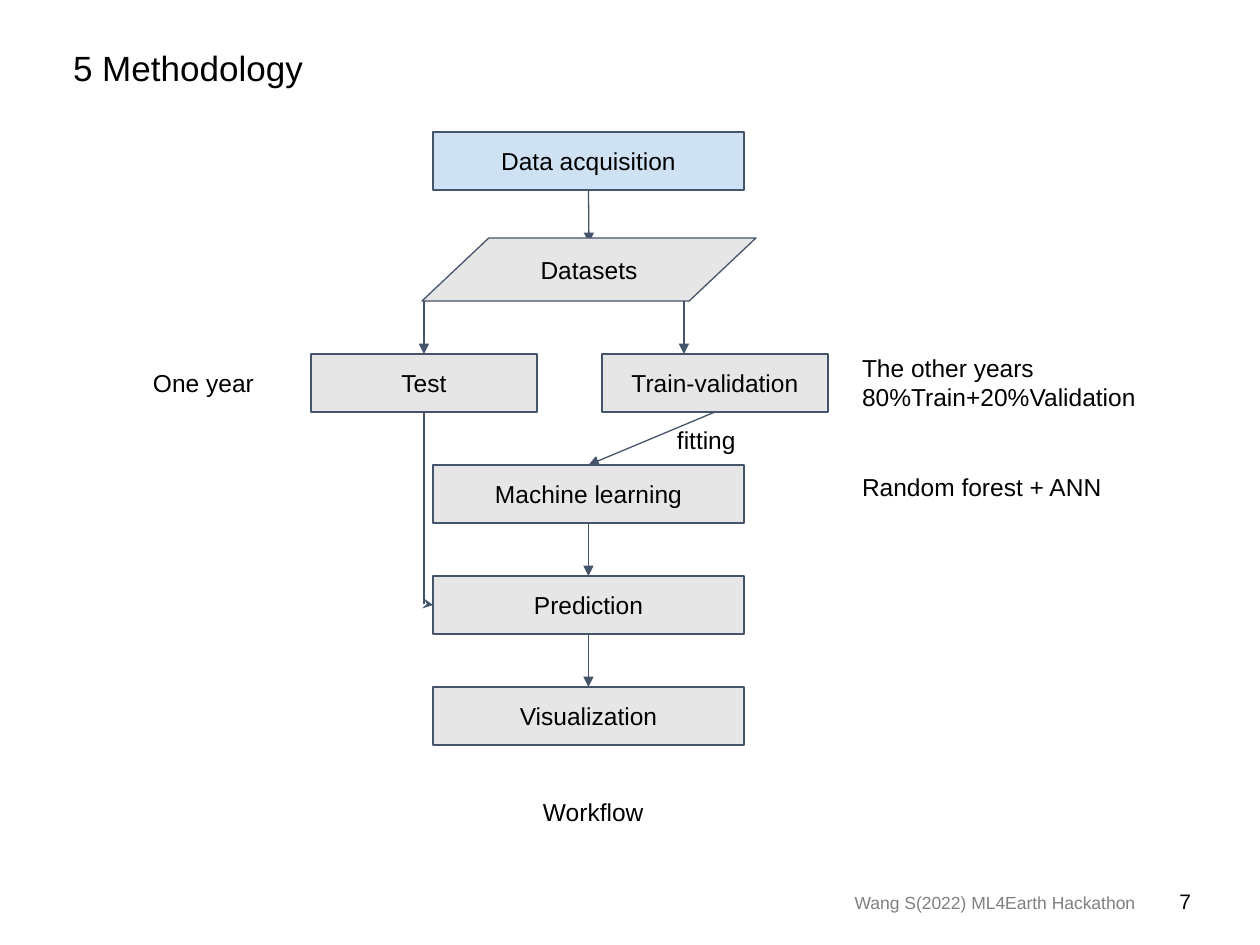
from lxml import etree
from pptx import Presentation
from pptx.dml.color import RGBColor
from pptx.enum.shapes import MSO_CONNECTOR, MSO_SHAPE
from pptx.enum.text import MSO_ANCHOR, PP_ALIGN
from pptx.oxml.ns import qn
from pptx.util import Pt

EMU_PER_PX = 914400 / 126
BLACK = RGBColor(0x00, 0x00, 0x00)
GRAY = RGBColor(0x80, 0x80, 0x80)
SLATE = RGBColor(0x44, 0x54, 0x6A)
LIGHT_BLUE = RGBColor(0xCF, 0xE2, 0xF3)
LIGHT_GRAY = RGBColor(0xE7, 0xE6, 0xE6)
RECT, DATA = MSO_SHAPE.RECTANGLE, MSO_SHAPE.FLOWCHART_DATA
STRAIGHT, ELBOW = MSO_CONNECTOR.STRAIGHT, MSO_CONNECTOR.ELBOW
TOP, MIDDLE, BOTTOM = MSO_ANCHOR.TOP, MSO_ANCHOR.MIDDLE, MSO_ANCHOR.BOTTOM
LEFT, CENTER, RIGHT = PP_ALIGN.LEFT, PP_ALIGN.CENTER, PP_ALIGN.RIGHT
SITE_TOP, SITE_BOTTOM = 0, 2
ROW_TOP, ROW_PITCH, BOX_H = 354, 111, 58
MAIN_X, MAIN_W, SIDE_W = 433, 311, 226
MAIN_MID, TEST_MID, TRAIN_X = 589, 424, 602


def px(n):
    """Convert pixels to EMU."""
    return round(n * EMU_PER_PX)


def set_text(sp, lines, size=14, color=BLACK, align=LEFT, anchor=TOP, insets=(13, 13, 13, 13)):
    """Fill a shape with evenly formatted paragraphs."""
    tf = sp.text_frame
    tf.word_wrap = True
    tf.vertical_anchor = anchor
    tf.margin_left, tf.margin_top, tf.margin_right, tf.margin_bottom = map(px, insets)
    tf.text = "\n".join(lines)
    for p in tf.paragraphs:
        p.alignment = align
        p.font.name, p.font.size = "Arial", Pt(size)
        p.font.color.rgb = color
    return tf


def add_label(s, box, *lines, **style):
    """Add a text box."""
    return set_text(s.shapes.add_textbox(*map(px, box)), lines, **style)


def add_step(s, text, x, y, w, h=BOX_H, fill=LIGHT_GRAY, kind=RECT):
    """Add an outlined flowchart step."""
    sp = s.shapes.add_shape(kind, px(x), px(y), px(w), px(h))
    sp.shadow.inherit = False
    sp.fill.solid()
    sp.fill.fore_color.rgb = fill
    sp.line.color.rgb, sp.line.width = SLATE, Pt(0.75)
    set_text(sp, [text], align=CENTER, anchor=MIDDLE)
    return sp


def add_arrow(s, x1, y1, x2, y2, begin=None, end=None, kind=STRAIGHT, head="triangle"):
    """Add an arrow, joined to the given steps from bottom to top."""
    cxn = s.shapes.add_connector(kind, px(x1), px(y1), px(x2), px(y2))
    cxn.line.color.rgb, cxn.line.width = SLATE, Pt(0.75)
    etree.SubElement(cxn.line._get_or_add_ln(), qn("a:tailEnd"), type=head)
    etree.SubElement(cxn._element.spPr, qn("a:effectLst"))
    if begin is not None:
        cxn.begin_connect(begin, SITE_BOTTOM)
    if end is not None:
        cxn.end_connect(end, SITE_TOP)
    return cxn


def add_down_right_arrow(s, x1, y1, x2, y2):
    """Add a single-bend arrow that runs down and then right."""
    cxn = add_arrow(s, x1, y1, x2, y2, kind=ELBOW, head="stealth")
    w, h = y2 - y1, x2 - x1
    cxn.left, cxn.top = px((x1 + x2 - w) / 2), px((y1 + y2 - h) / 2)
    cxn.width, cxn.height = px(w), px(h)
    spPr = cxn._element.spPr
    spPr.find(qn("a:prstGeom")).set("prst", "bentConnector2")
    xfrm = spPr.find(qn("a:xfrm"))
    xfrm.set("rot", str(270 * 60000))
    xfrm.set("flipH", "1")


def add_flowchart(s):
    """Draw the workflow steps and their arrows."""
    acquisition = add_step(s, "Data acquisition", MAIN_X, 132, MAIN_W, fill=LIGHT_BLUE)
    add_arrow(s, MAIN_MID, 190, MAIN_MID, 243, begin=acquisition)
    add_step(s, "Datasets", 422, 238, 334, 63, kind=DATA)
    test = add_step(s, "Test", 311, ROW_TOP, SIDE_W)
    train = add_step(s, "Train-validation", TRAIN_X, ROW_TOP, SIDE_W)
    add_arrow(s, TEST_MID, 301, TEST_MID, ROW_TOP, end=test)
    add_arrow(s, 684, 301, 684, ROW_TOP)
    previous, x = train, TRAIN_X + SIDE_W // 2
    for i, name in enumerate(("Machine learning", "Prediction", "Visualization"), 1):
        y = ROW_TOP + i * ROW_PITCH
        step = add_step(s, name, MAIN_X, y, MAIN_W)
        add_arrow(s, x, y - ROW_PITCH + BOX_H, MAIN_MID, y, begin=previous, end=step)
        previous, x = step, MAIN_MID
    prediction_mid = ROW_TOP + 2 * ROW_PITCH + BOX_H // 2
    add_down_right_arrow(s, TEST_MID, ROW_TOP + BOX_H, MAIN_X, prediction_mid)


def main():
    """Build and save the slide."""
    prs = Presentation()
    prs.slide_width, prs.slide_height = px(1260), px(945)
    s = prs.slides.add_slide(prs.slide_layouts[6])
    title = add_label(s, (73, 21, 1000, 74), "5 Methodology", size=20,
                      anchor=BOTTOM, insets=(0, 6, 13, 6))
    title.paragraphs[0].line_spacing = 0.9
    add_flowchart(s)
    add_label(s, (140, 355, 155, 55), "One year")
    add_label(s, (849, 340, 321, 84), "The other years", "80%Train+20%Validation")
    add_label(s, (849, 459, 321, 55), "Random forest + ANN")
    add_label(s, (664, 412, 321, 55), "fitting")
    add_label(s, (530, 784, 307, 55), "Workflow")
    add_label(s, (693, 878, 455, 50), "Wang S(2022) ML4Earth Hackathon", size=10,
              color=GRAY, align=RIGHT, anchor=MIDDLE, insets=(13, 6, 13, 6))
    add_label(s, (1119, 876, 72, 50), "7", size=12, align=RIGHT,
              anchor=MIDDLE, insets=(13, 6, 0, 6))
    prs.save("out.pptx")


if __name__ == "__main__":
    main()
